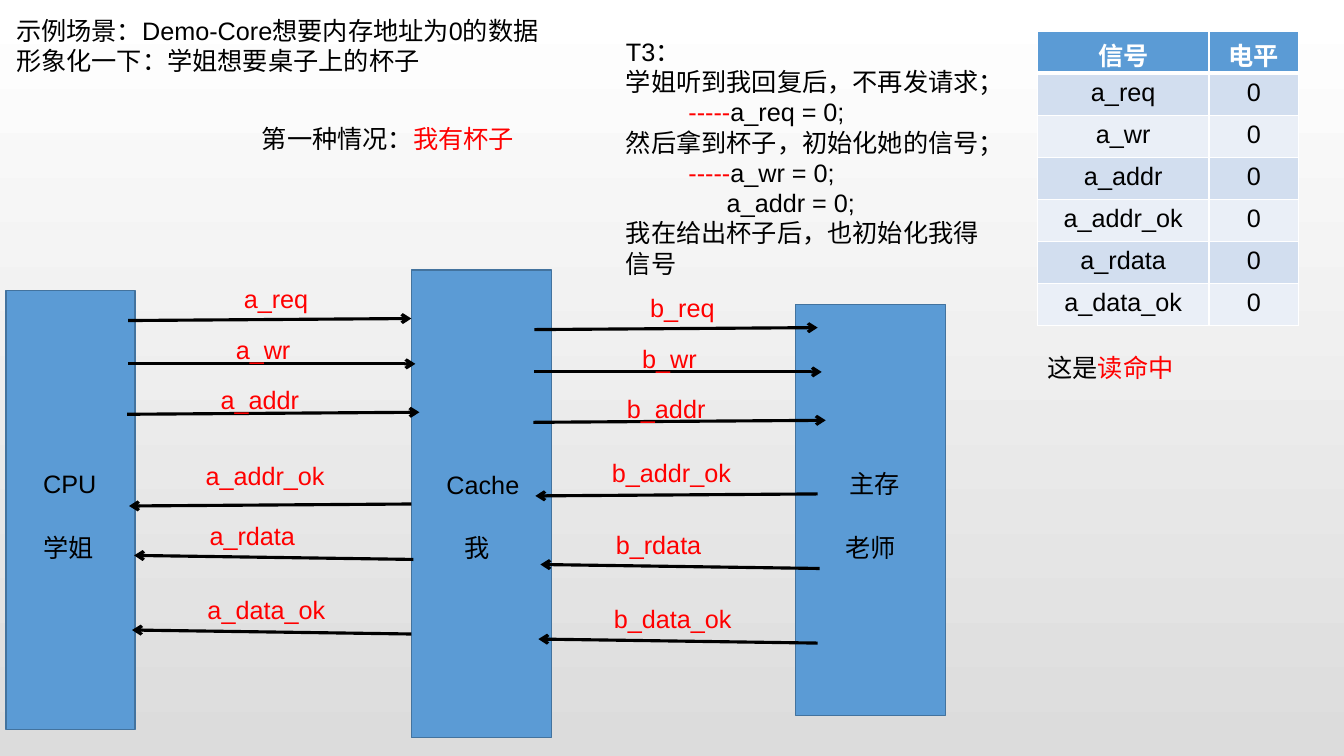
from lxml import etree
from pptx import Presentation
from pptx.dml.color import RGBColor
from pptx.enum.shapes import MSO_CONNECTOR, MSO_SHAPE
from pptx.enum.text import MSO_ANCHOR, MSO_AUTO_SIZE, PP_ALIGN
from pptx.oxml.ns import qn
from pptx.util import Inches, Pt

STRAIGHT = MSO_CONNECTOR.STRAIGHT
RECTANGLE = MSO_SHAPE.RECTANGLE
TOP = MSO_ANCHOR.TOP
NO_AUTOFIT = MSO_AUTO_SIZE.NONE
LEFT, CENTER = PP_ALIGN.LEFT, PP_ALIGN.CENTER

BLACK = RGBColor(0x00, 0x00, 0x00)
WHITE = RGBColor(0xFF, 0xFF, 0xFF)
RED = RGBColor(0xFF, 0x00, 0x00)
GRAY = RGBColor(0xDC, 0xDC, 0xDC)
BLUE = RGBColor(0x5B, 0x9B, 0xD5)
DARK_BLUE = RGBColor(0x43, 0x73, 0x9E)
BANDS = (RGBColor(0xD2, 0xDE, 0xEF), RGBColor(0xEA, 0xEF, 0xF7))

FONT, FONT_SIZE = "Arial", 18
LINE_HEIGHT = 0.4

# Each paragraph is (indent in inches, [(text, colour), ...]).
SCENE = [
    (0, [("示例场景：Demo-Core想要内存地址为0的数据", BLACK)]),
    (0, [("形象化一下：学姐想要桌子上的杯子", BLACK)]),
]
STEP_T3 = [
    (0, [("T3：", BLACK)]),
    (0, [("学姐听到我回复后，不再发请求；", BLACK)]),
    (0.62, [("-----", RED), ("a_req = 0;", BLACK)]),
    (0, [("然后拿到杯子，初始化她的信号；", BLACK)]),
    (0.62, [("-----", RED), ("a_wr = 0;", BLACK)]),
    (1, [("a_addr = 0;", BLACK)]),
    (0, [("我在给出杯子后，也初始化我得信号", BLACK)]),
]
CASE = [(0, [("第一种情况：", BLACK), ("我有杯子", RED)])]
RESULT = [(0, [("这是", BLACK), ("读命中", RED)])]

# Block box, then its captions as (text, left, top, width).
BLOCKS = [
    ((0.06, 2.88, 1.28, 4.36), [("CPU", 0.33, 4.6, 0.75), ("学姐", 0.33, 5.23, 0.75)]),
    ((4.08, 2.68, 1.39, 4.64), [("Cache", 4.33, 4.61, 0.96), ("我", 4.51, 5.23, 0.96)]),
    ((7.89, 3.02, 1.49, 4.08), [("主存", 8.33, 4.6, 0.87), ("老师", 8.29, 5.23, 0.96)]),
]

# Signal, arrow start, arrow end, label corner on bus a;
# then how far down the arrow and the label sit on bus b.
SIGNALS = [
    ("req", (1.27, 3.18), (4.08, 3.16), (2.32, 2.76), 0.09, 0.09),
    ("wr", (1.27, 3.61), (4.12, 3.61), (2.24, 3.27), 0.08, 0.09),
    ("addr", (1.26, 4.11), (4.16, 4.09), (2.09, 3.76), 0.08, 0.09),
    ("addr_ok", (4.08, 5.0), (1.28, 5.02), (1.94, 4.52), -0.1, -0.03),
    ("rdata", (4.1, 5.55), (1.33, 5.51), (1.98, 5.11), 0.09, 0.09),
    ("data_ok", (4.08, 6.29), (1.31, 6.25), (1.96, 5.85), 0.09, 0.09),
]
BUS_SHIFT = 4.03
LABEL_WIDTH = 1.47

TABLE_HEADER = ("信号", "电平")
TABLE_ROWS = [("a_" + signal[0], "0") for signal in SIGNALS]
TABLE_BOX = (10.29, 0.31, 2.59, 2.92)
COLUMN_WIDTHS = (1.7, 0.89)


def inches(values):
    """Turn plain numbers into lengths."""
    return [Inches(value) for value in values]


def style_run(run, color, bold=False):
    """Give a run the slide's font."""
    run.font.name = FONT
    run.font.size = Pt(FONT_SIZE)
    run.font.bold = bold
    run.font.color.rgb = color


def fill_text(text_frame, paragraphs):
    """Write indented, coloured paragraphs into a text frame."""
    text_frame.word_wrap = True
    text_frame.vertical_anchor = TOP
    text_frame.text = "\n".join("" for _ in paragraphs)
    for paragraph, (indent, runs) in zip(text_frame.paragraphs, paragraphs):
        paragraph.alignment = LEFT
        if indent:
            paragraph._p.get_or_add_pPr().set("marL", str(Inches(indent)))
        for text, color in runs:
            run = paragraph.add_run()
            run.text = text
            style_run(run, color)


def add_text(slide, box, paragraphs):
    """Add a text box."""
    fill_text(slide.shapes.add_textbox(*inches(box)).text_frame, paragraphs)


def add_block(slide, box):
    """Add one blue hardware block."""
    block = slide.shapes.add_shape(RECTANGLE, *inches(box))
    block.shadow.inherit = False
    block.fill.solid()
    block.fill.fore_color.rgb = BLUE
    block.line.color.rgb = DARK_BLUE
    block.line.width = Pt(1)


def add_arrow(slide, start, end):
    """Add a black arrow pointing at its end."""
    arrow = slide.shapes.add_connector(STRAIGHT, *inches(start + end))
    arrow.line.color.rgb = BLACK
    arrow.line.width = Pt(2.25)
    etree.SubElement(arrow.line._get_or_add_ln(), qn("a:tailEnd"), type="arrow")
    etree.SubElement(arrow._element.spPr, qn("a:effectLst"))


def add_bus(slide, prefix, shift, lowered):
    """Add the arrows and labels of one bus."""
    for name, start, end, label, arrow_drop, label_drop in SIGNALS:
        if not lowered:
            arrow_drop = label_drop = 0
        points = [(x + shift, y + arrow_drop) for x, y in (start, end)]
        add_arrow(slide, *points)
        box = (label[0] + shift, label[1] + label_drop, LABEL_WIDTH, LINE_HEIGHT)
        add_text(slide, box, [(0, [(prefix + name, RED)])])


def set_borders(cell, bottom_width):
    """Draw white borders round a cell."""
    properties = cell._tc.get_or_add_tcPr()
    widths = {"a:lnL": 1, "a:lnR": 1, "a:lnT": 1, "a:lnB": bottom_width}
    for position, (tag, width) in enumerate(widths.items()):
        border = etree.Element(qn(tag), w=str(Pt(width)))
        fill = etree.SubElement(border, qn("a:solidFill"))
        etree.SubElement(fill, qn("a:srgbClr"), val=str(WHITE))
        properties.insert(position, border)


def add_signal_table(slide):
    """Add the table of signal levels."""
    rows = [TABLE_HEADER] + TABLE_ROWS
    frame = slide.shapes.add_table(len(rows), len(TABLE_HEADER), *inches(TABLE_BOX))
    table = frame.table
    for column, width in zip(table.columns, COLUMN_WIDTHS):
        column.width = Inches(width)
    for row_index, values in enumerate(rows):
        header = row_index == 0
        for column_index, text in enumerate(values):
            cell = table.cell(row_index, column_index)
            cell.text = text
            cell.fill.solid()
            cell.fill.fore_color.rgb = BLUE if header else BANDS[(row_index - 1) % 2]
            if header:
                cell.margin_bottom = 0
            paragraph = cell.text_frame.paragraphs[0]
            paragraph.alignment = CENTER
            style_run(paragraph.runs[0], WHITE if header else BLACK, header)
            set_borders(cell, 3 if header else 1)


def set_background(slide):
    """Fade the background from white at the top to gray."""
    fill = slide.background.fill
    fill.gradient()
    fill.gradient_angle = 270
    for stop, color in zip(fill.gradient_stops, (WHITE, GRAY)):
        stop.color.rgb = color


def main():
    """Build and save the slide."""
    presentation = Presentation()
    presentation.slide_width, presentation.slide_height = inches((13.33, 7.5))
    slide = presentation.slides.add_slide(presentation.slide_layouts[5])
    set_background(slide)

    title = slide.shapes.title
    title.left, title.top, title.width, title.height = inches((0.06, 0.1, 7.55, 0.71))
    fill_text(title.text_frame, SCENE)
    title.text_frame.auto_size = NO_AUTOFIT

    add_signal_table(slide)
    add_text(slide, (6.11, 0.31, 3.87, 2.52), STEP_T3)
    for box, captions in BLOCKS:
        add_block(slide, box)
        for text, left, top, width in captions:
            add_text(slide, (left, top, width, LINE_HEIGHT), [(0, [(text, BLACK)])])
    add_bus(slide, "a_", 0, False)
    add_bus(slide, "b_", BUS_SHIFT, True)
    add_text(slide, (2.5, 1.17, 3.34, LINE_HEIGHT), CASE)
    add_text(slide, (10.29, 3.45, 1.52, LINE_HEIGHT), RESULT)
    presentation.save("out.pptx")


main()
